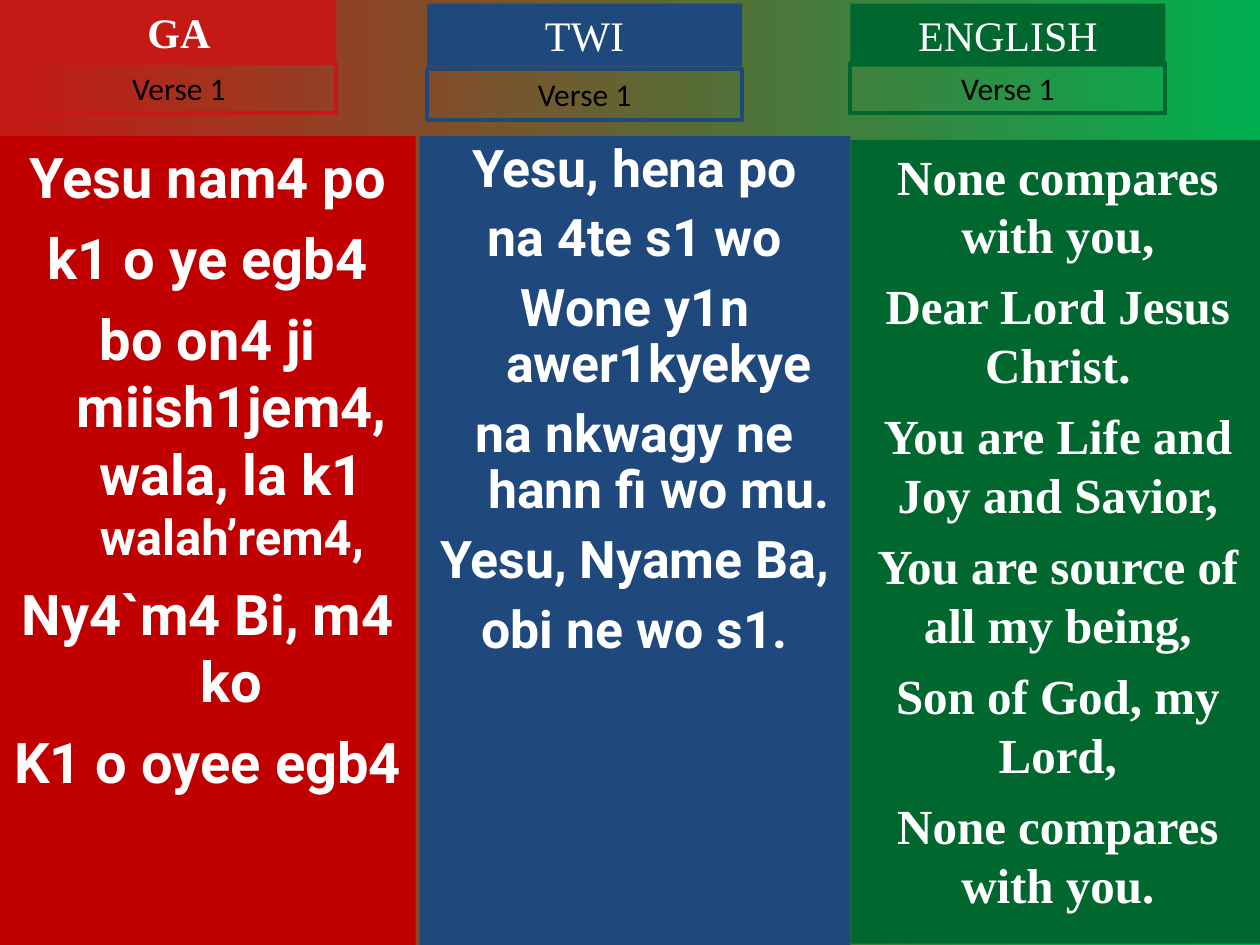
from pptx import Presentation
from pptx import util as u
from pptx.dml.color import RGBColor
from pptx.enum import shapes, text

RED = RGBColor(0xC0, 0x00, 0x00)
BRIGHT_RED = RGBColor(0xC5, 0x19, 0x15)
BLUE = RGBColor(0x1F, 0x49, 0x7D)
GREEN = RGBColor(0x00, 0x68, 0x2F)
BRIGHT_GREEN = RGBColor(0x00, 0xB0, 0x50)
WHITE = RGBColor(0xFF, 0xFF, 0xFF)
BLACK = RGBColor(0x00, 0x00, 0x00)

SERIF, LYRIC, PLAIN = "Times New Roman", "Roboto", "Calibri"

GA_VERSE = [
    ["Yesu nam4 po"],
    ["k1 o ye egb4"],
    ["bo on4 ji miish1jem4, wala, la k1 ", ("walah’rem4,", 28)],
    ["Ny4`m4 Bi, m4 ko"],
    ["K1 o oyee egb4"],
]
TWI_VERSE = [
    ["Yesu, hena po"],
    ["na 4te s1 wo"],
    ["Wone y1n awer1kyekye"],
    ["na nkwagy ne hann fi wo mu."],
    ["Yesu, Nyame Ba,"],
    ["obi ne wo s1."],
]
ENGLISH_VERSE = [
    ["None compares with you,"],
    ["Dear Lord Jesus Christ."],
    ["You are Life and Joy and Savior,"],
    ["You are source of all my being,"],
    ["Son of God, my Lord,"],
    ["None compares with you."],
]


def paint_background(slide):
    """Fill the slide with a left-to-right red to green gradient."""
    fill = slide.background.fill
    fill.gradient()
    fill.gradient_angle = 0
    for stop, color, position in zip(fill.gradient_stops, (BRIGHT_RED, BRIGHT_GREEN), (0, 1)):
        stop.color.rgb = color
        stop.position = position


def add_panel(slide, box, fill=None, line=None):
    """Add a rectangle with an optional fill and outline."""
    panel = slide.shapes.add_shape(shapes.MSO_SHAPE.RECTANGLE, *map(u.Inches, box))
    panel.shadow.inherit = False
    if fill is None:
        panel.fill.background()
    else:
        panel.fill.solid()
        panel.fill.fore_color.rgb = fill
    if line is None:
        panel.line.fill.background()
    else:
        panel.line.color.rgb = line
        panel.line.width = u.Pt(2.25)
    return panel


def write(panel, lines, font, size, color=WHITE, bold=False, before=0, spacing=None, hanging=0, grow=False):
    """Write centred paragraphs, each a list of strings or (string, size) pairs."""
    frame = panel.text_frame
    frame.word_wrap = True
    frame.vertical_anchor = text.MSO_ANCHOR.TOP
    frame.auto_size = text.MSO_AUTO_SIZE.SHAPE_TO_FIT_TEXT if grow else text.MSO_AUTO_SIZE.NONE
    for index, line in enumerate(lines):
        paragraph = frame.add_paragraph() if index else frame.paragraphs[0]
        paragraph.alignment = text.PP_ALIGN.CENTER
        paragraph.space_before = u.Pt(before if index else 0)
        if spacing:
            paragraph.line_spacing = spacing
        if hanging:
            properties = paragraph._p.get_or_add_pPr()
            properties.set("marL", str(u.Inches(hanging)))
            properties.set("indent", str(-u.Inches(hanging)))
        for part in line:
            words, points = (part, size) if isinstance(part, str) else part
            run = paragraph.add_run()
            run.text = words
            run.font.name = font
            run.font.size = u.Pt(points)
            run.font.bold = bold
            run.font.color.rgb = color


def add_heading(slide, left, top, language, color, verse_top, bold=False):
    """Add the language title and the outlined verse label under it."""
    title = add_panel(slide, (left, top, 2.5, 0.5), fill=color)
    write(title, [[language]], SERIF, 24, bold=bold, grow=True)
    verse = add_panel(slide, (left, verse_top, 2.5, 0.4), line=color)
    write(verse, [["Verse 1"]], PLAIN, 18, color=BLACK, grow=True)


def add_lyrics(slide, box, color, lines, font, size, **layout):
    """Add a coloured column holding one language's verse."""
    write(add_panel(slide, box, fill=color), lines, font, size, bold=True, **layout)


def main():
    """Build the three-language hymn slide."""
    deck = Presentation()
    deck.slide_width, deck.slide_height = u.Inches(10), u.Inches(7.5)
    slide = deck.slides.add_slide(deck.slide_layouts[6])
    paint_background(slide)
    add_lyrics(slide, (0, 1.08, 3.3, 6.42), RED, GA_VERSE, LYRIC, 32, before=8, hanging=0.38)
    add_lyrics(slide, (3.33, 1.08, 3.42, 6.42), BLUE, TWI_VERSE, LYRIC, 29.6,
               before=8, hanging=0.38, spacing=0.9)
    add_lyrics(slide, (6.75, 1.11, 3.29, 6.38), GREEN, ENGLISH_VERSE, SERIF, 28, before=7)
    add_heading(slide, 0.17, 0, "GA", BRIGHT_RED, 0.5, bold=True)
    add_heading(slide, 3.39, 0.03, "TWI", BLUE, 0.55)
    add_heading(slide, 6.75, 0.03, "ENGLISH", GREEN, 0.5)
    deck.save("out.pptx")


if __name__ == "__main__":
    main()
